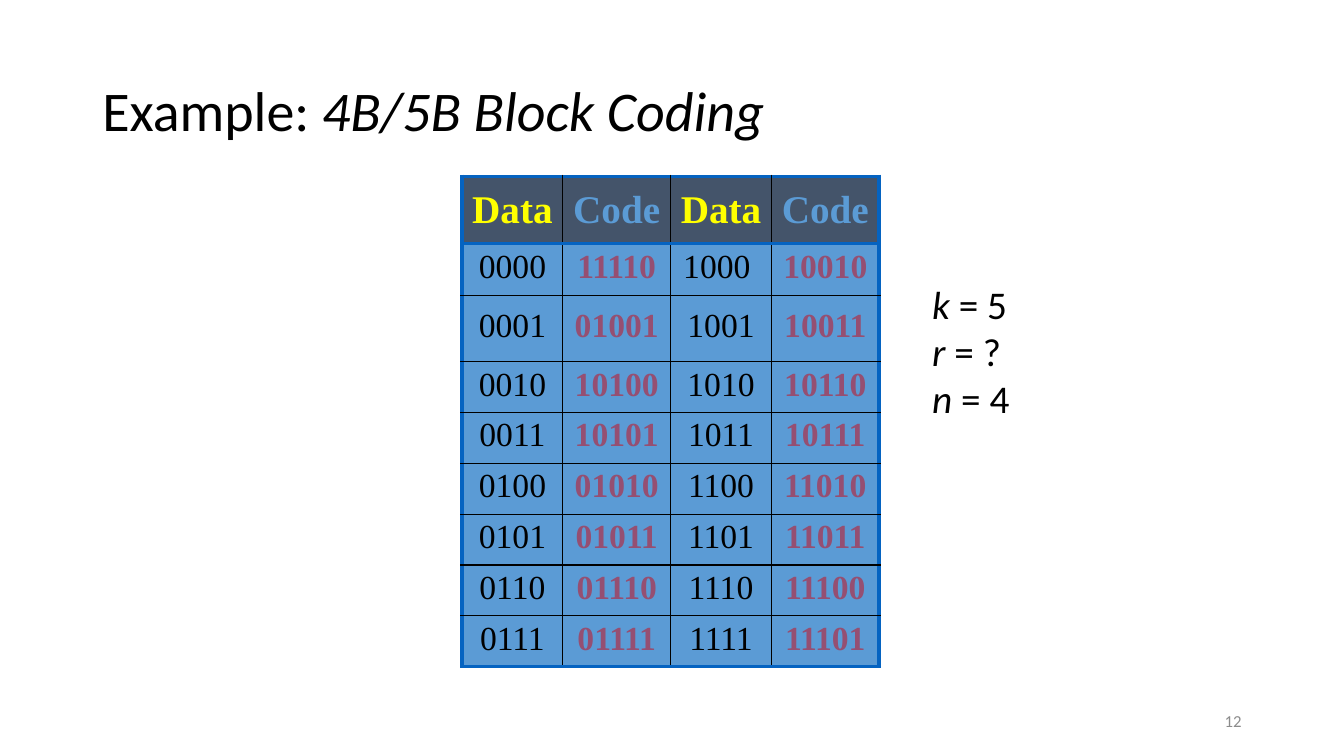
"""Build the slide with the 4B/5B block coding table."""
import dataclasses

import lxml.etree
import pptx
import pptx.dml.color
import pptx.enum.text
import pptx.oxml.ns
import pptx.util

Pt = pptx.util.Pt
RGB = pptx.dml.color.RGBColor.from_string
ALIGN = pptx.enum.text.PP_ALIGN
MIDDLE = pptx.enum.text.MSO_ANCHOR.MIDDLE
qn = pptx.oxml.ns.qn


@dataclasses.dataclass(frozen=True)
class Theme:
    sans: str = "Calibri"
    serif: str = "Times New Roman"
    ink: str = "000000"
    muted: str = "8C8C8C"
    header_fill: str = "44546A"
    body_fill: str = "5B9BD5"
    header_data: str = "FFFF00"
    header_code: str = "5B9BD5"
    body_code: str = "954F72"
    frame: str = "0563C1"
    title_size: int = 40
    large_size: int = 28
    body_size: int = 24
    number_size: int = 12
    frame_width: int = 3
    grid_width: int = 1


theme = Theme()


def add_run(paragraph, text, font, size, color, bold=False, italic=False):
    run = paragraph.add_run()
    run.text = text
    run.font.name = font
    run.font.size = Pt(size)
    run.font.bold = bold
    run.font.italic = italic
    run.font.color.rgb = RGB(color)


def add_border(cell, side, color, width):
    properties = cell._tc.get_or_add_tcPr()
    line = lxml.etree.SubElement(properties, qn(f"a:ln{side}"), w=str(Pt(width)))
    fill = lxml.etree.SubElement(line, qn("a:solidFill"))
    lxml.etree.SubElement(fill, qn("a:srgbClr"), val=color)


deck = pptx.Presentation()
deck.slide_width, deck.slide_height = Pt(960), Pt(540)
slide = deck.slides.add_slide(deck.slide_layouts[6])

title = slide.shapes.add_textbox(Pt(66), Pt(28.75), Pt(828), Pt(104.4)).text_frame
title.word_wrap = True
title.vertical_anchor = MIDDLE
heading = title.paragraphs[0]
heading.line_spacing = 0.9
add_run(heading, "Example: ", theme.sans, theme.title_size, theme.ink)
add_run(heading, "4B/5B Block Coding", theme.sans, theme.title_size, theme.ink, italic=True)

coding_rows = [
    ("Data", "Code", "Data", "Code"),
    ("0000", "11110", "1000 ", "10010"),
    ("0001", "01001", "1001", "10011"),
    ("0010", "10100", "1010", "10110"),
    ("0011", "10101", "1011", "10111"),
    ("0100", "01010", "1100", "11010"),
    ("0101", "01011", "1101", "11011"),
    ("0110", "01110", "1110", "11100"),
    ("0111", "01111", "1111", "11101"),
]
column_widths = [72, 77] * 2
row_heights = [48, 37, 47.5] + [36.3] * 6
last_row, last_column = len(row_heights) - 1, len(column_widths) - 1

coding_table = slide.shapes.add_table(
    len(row_heights), len(column_widths), Pt(330), Pt(126),
    Pt(sum(column_widths)), Pt(sum(row_heights)),
).table
coding_table.horz_banding = False
for column, width in zip(coding_table.columns, column_widths):
    column.width = Pt(width)
for row, height in zip(coding_table.rows, row_heights):
    row.height = Pt(height)

for r, values in enumerate(coding_rows):
    is_header = r == 0
    for c, value in enumerate(values):
        is_code = c % 2 == 1
        cell = coding_table.cell(r, c)
        framed_sides = {
            "L": c == 0,
            "R": c == last_column,
            "T": r <= 1,
            "B": r in (0, last_row),
        }
        for side, framed in framed_sides.items():
            if framed:
                add_border(cell, side, theme.frame, theme.frame_width)
            else:
                add_border(cell, side, theme.ink, theme.grid_width)
        cell.fill.solid()
        cell.fill.fore_color.rgb = RGB(theme.header_fill if is_header else theme.body_fill)
        cell.vertical_anchor = MIDDLE
        entry = cell.text_frame.paragraphs[0]
        entry.alignment = ALIGN.CENTER
        if is_header:
            entry.space_before = Pt(0.2 * theme.large_size)
            color = theme.header_code if is_code else theme.header_data
            add_run(entry, value, theme.serif, theme.large_size, color, bold=True)
        else:
            entry.line_spacing = 0.8
            color = theme.body_code if is_code else theme.ink
            add_run(entry, value, theme.serif, theme.body_size, color, bold=is_code)

parameters = slide.shapes.add_textbox(Pt(658.8), Pt(196.6), Pt(70.6), Pt(108.7)).text_frame
parameters.word_wrap = False
parameters.auto_size = pptx.enum.text.MSO_AUTO_SIZE.SHAPE_TO_FIT_TEXT
for i, (symbol, value) in enumerate([("k", "5"), ("r", "?"), ("n", "4")]):
    equation = parameters.add_paragraph() if i else parameters.paragraphs[0]
    add_run(equation, symbol, theme.sans, theme.large_size, theme.ink, italic=True)
    add_run(equation, f" = {value}", theme.sans, theme.large_size, theme.ink)

page_number = slide.shapes.add_textbox(Pt(678), Pt(500.5), Pt(216), Pt(28.75)).text_frame
page_number.word_wrap = True
page_number.vertical_anchor = MIDDLE
page_number.paragraphs[0].alignment = ALIGN.RIGHT
add_run(page_number.paragraphs[0], "12", theme.sans, theme.number_size, theme.muted)

deck.save("out.pptx")
